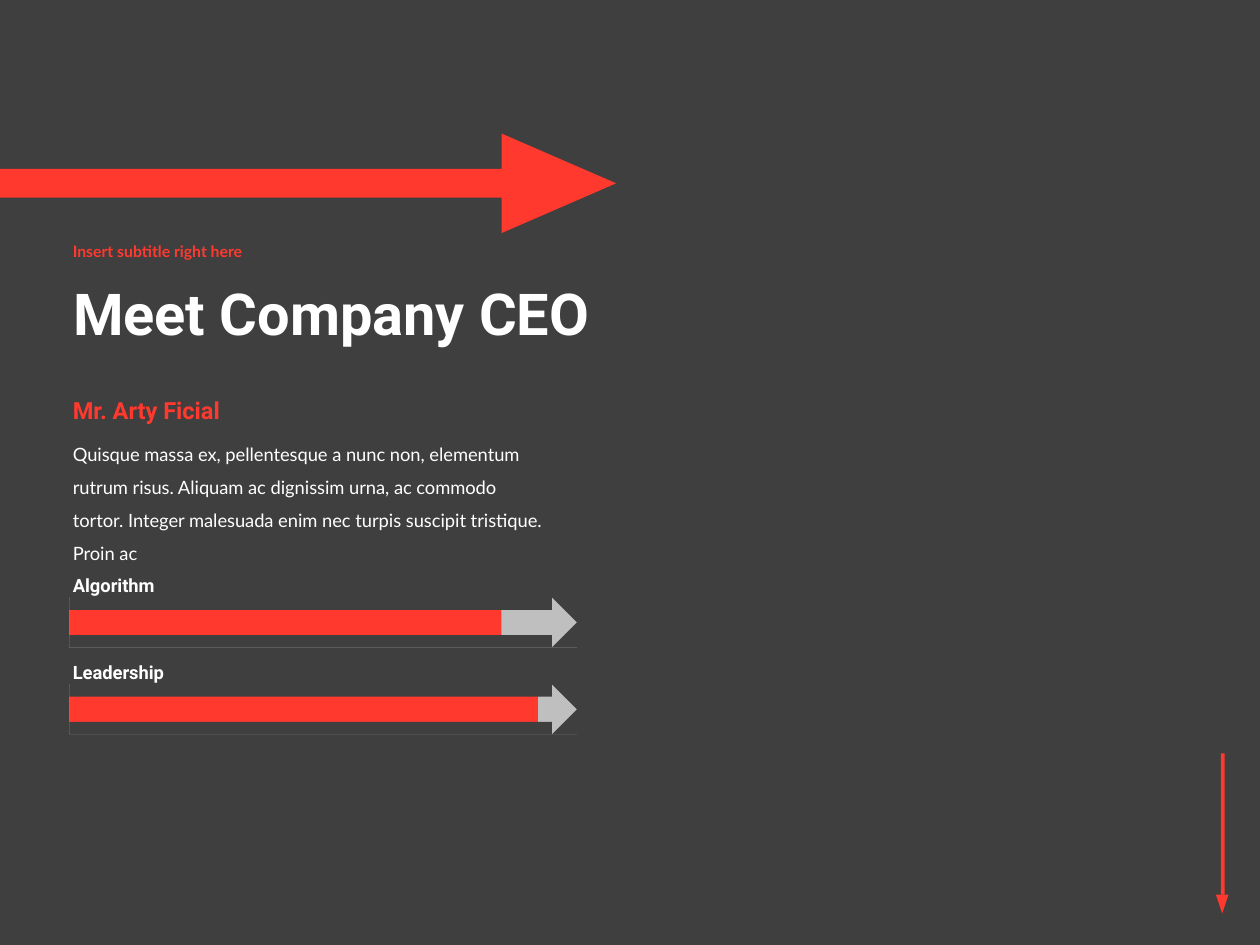
from dataclasses import dataclass

from pptx import Presentation
from pptx.dml.color import RGBColor
from pptx.enum.shapes import MSO_SHAPE
from pptx.enum.text import MSO_ANCHOR, MSO_AUTO_SIZE, PP_ALIGN
from pptx.util import Inches, Pt


@dataclass(frozen=True)
class Theme:
    background: RGBColor = RGBColor(0x3F, 0x3F, 0x3F)
    accent: RGBColor = RGBColor(0xFF, 0x39, 0x2E)
    track: RGBColor = RGBColor(0xBF, 0xBF, 0xBF)
    light: RGBColor = RGBColor(0xFF, 0xFF, 0xFF)
    heading_font: str = "Roboto"
    body_font: str = "Lato"
    title_size: float = 33
    name_size: float = 13.5
    body_size: float = 10.5
    subtitle_size: float = 9


THEME = Theme()
BIOGRAPHY = (
    "Quisque massa ex, pellentesque a nunc non, elementum rutrum risus. "
    "Aliquam ac dignissim urna, ac commodo tortor. Integer malesuada enim nec "
    "turpis suscipit tristique. Proin ac"
)
SKILLS = [("Algorithm", 3.43), ("Leadership", 3.72)]
TEXT_LEFT = 0.48
SKILL_TOP, SKILL_STEP = 4.74, 0.69
BAR_LEFT, BAR_WIDTH, BAR_HEIGHT = 0.55, 4.03, 0.4
HEAD_LENGTH = 0.2


def set_attributes(target, values):
    for name, value in values.items():
        setattr(target, name, value)


def paint(shape, color):
    shape.shadow.inherit = False
    shape.fill.solid()
    shape.fill.fore_color.rgb = color
    shape.line.fill.background()


def add_block(shapes, kind, box, color, rotation=0):
    shape = shapes.add_shape(kind, *map(Inches, box))
    shape.rotation = rotation
    paint(shape, color)


def write(shape, text, size, color, font, bold=True, spacing=1.0, anchor=MSO_ANCHOR.TOP):
    frame = shape.text_frame
    set_attributes(frame, {
        "text": text,
        "word_wrap": True,
        "auto_size": MSO_AUTO_SIZE.NONE,
        "vertical_anchor": anchor,
    })
    paragraph = frame.paragraphs[0]
    set_attributes(paragraph, {"alignment": PP_ALIGN.LEFT, "line_spacing": spacing})
    set_attributes(paragraph.font, {"name": font, "size": Pt(size), "bold": bold})
    paragraph.font.color.rgb = color


def add_text(slide, box, text, size, color, font, **options):
    write(slide.shapes.add_textbox(*map(Inches, box)), text, size, color, font, **options)


def add_title(slide):
    title = slide.shapes.title
    set_attributes(title, {
        "left": Inches(TEXT_LEFT), "top": Inches(2),
        "width": Inches(5.63), "height": Inches(1.03),
    })
    write(title, "Meet Company CEO", THEME.title_size, THEME.light,
          THEME.heading_font, spacing=0.9, anchor=MSO_ANCHOR.MIDDLE)


def to_points(corners):
    return [(Inches(x), Inches(y)) for x, y in corners]


def add_arrow_mask(shapes, top):
    left, right = BAR_LEFT, BAR_LEFT + BAR_WIDTH
    neck, bottom = right - HEAD_LENGTH, top + BAR_HEIGHT
    shaft_top, shaft_bottom = top + BAR_HEIGHT / 4, bottom - BAR_HEIGHT / 4
    lower = to_points([
        (neck, top), (right, top), (right, bottom), (left, bottom),
        (left, shaft_bottom), (neck, shaft_bottom), (neck, bottom),
        (right, top + BAR_HEIGHT / 2),
    ])
    upper = to_points([(left, top), (neck, top), (neck, shaft_top), (left, shaft_top)])
    builder = shapes.build_freeform(*lower[0])
    builder.add_line_segments(lower[1:], close=True)
    builder.move_to(*upper[0])
    builder.add_line_segments(upper[1:], close=True)
    paint(builder.convert_to_shape(), THEME.background)


def add_skill(slide, label, value_width, top):
    shapes = slide.shapes.add_group_shape().shapes
    add_block(shapes, MSO_SHAPE.RECTANGLE, (BAR_LEFT, top, BAR_WIDTH, BAR_HEIGHT), THEME.track)
    add_block(shapes, MSO_SHAPE.RECTANGLE,
              (BAR_LEFT, top + 0.02, value_width, BAR_HEIGHT - 0.04), THEME.accent)
    add_arrow_mask(shapes, top)
    add_text(slide, (TEXT_LEFT, top - 0.23, 1.28, 0.28), label,
             THEME.body_size, THEME.light, THEME.heading_font)


def add_arrow(slide, shaft, head, rotation):
    shapes = slide.shapes.add_group_shape().shapes
    add_block(shapes, MSO_SHAPE.RECTANGLE, shaft, THEME.accent)
    add_block(shapes, MSO_SHAPE.ISOSCELES_TRIANGLE, head, THEME.accent, rotation)


def main():
    presentation = Presentation()
    set_attributes(presentation, {"slide_width": Inches(10), "slide_height": Inches(7.5)})
    slide = presentation.slides.add_slide(presentation.slide_layouts[5])
    slide.background.fill.solid()
    slide.background.fill.fore_color.rgb = THEME.background

    add_arrow(slide, (9.69, 5.98, 0.03, 1.12), (9.65, 7.1, 0.1, 0.15), 180)
    add_arrow(slide, (-0.33, 1.34, 4.32, 0.23), (4.04, 1, 0.79, 0.91), 90)
    add_title(slide)
    add_text(slide, (TEXT_LEFT, 1.81, 5.63, 0.38), "Insert subtitle right here",
             THEME.subtitle_size, THEME.accent, THEME.body_font,
             spacing=0.9, anchor=MSO_ANCHOR.MIDDLE)
    add_text(slide, (TEXT_LEFT, 3.09, 2.19, 0.33), "Mr. Arty Ficial",
             THEME.name_size, THEME.accent, THEME.heading_font)
    add_text(slide, (TEXT_LEFT, 3.38, 4, 0.87), BIOGRAPHY, THEME.body_size,
             THEME.light, THEME.body_font, bold=False, spacing=1.5)
    for index, (label, value_width) in enumerate(SKILLS):
        add_skill(slide, label, value_width, SKILL_TOP + index * SKILL_STEP)

    presentation.save("out.pptx")


if __name__ == "__main__":
    main()
